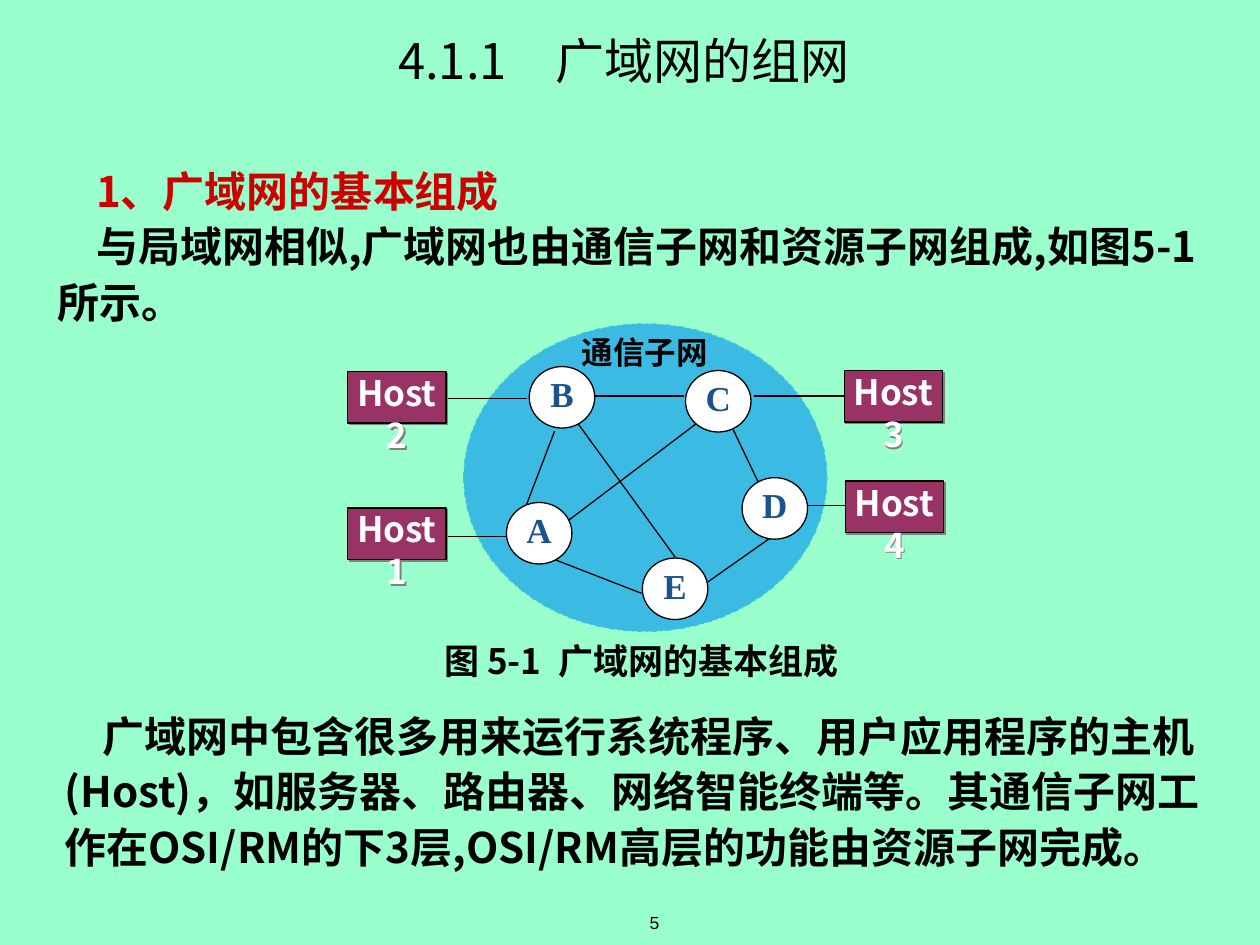
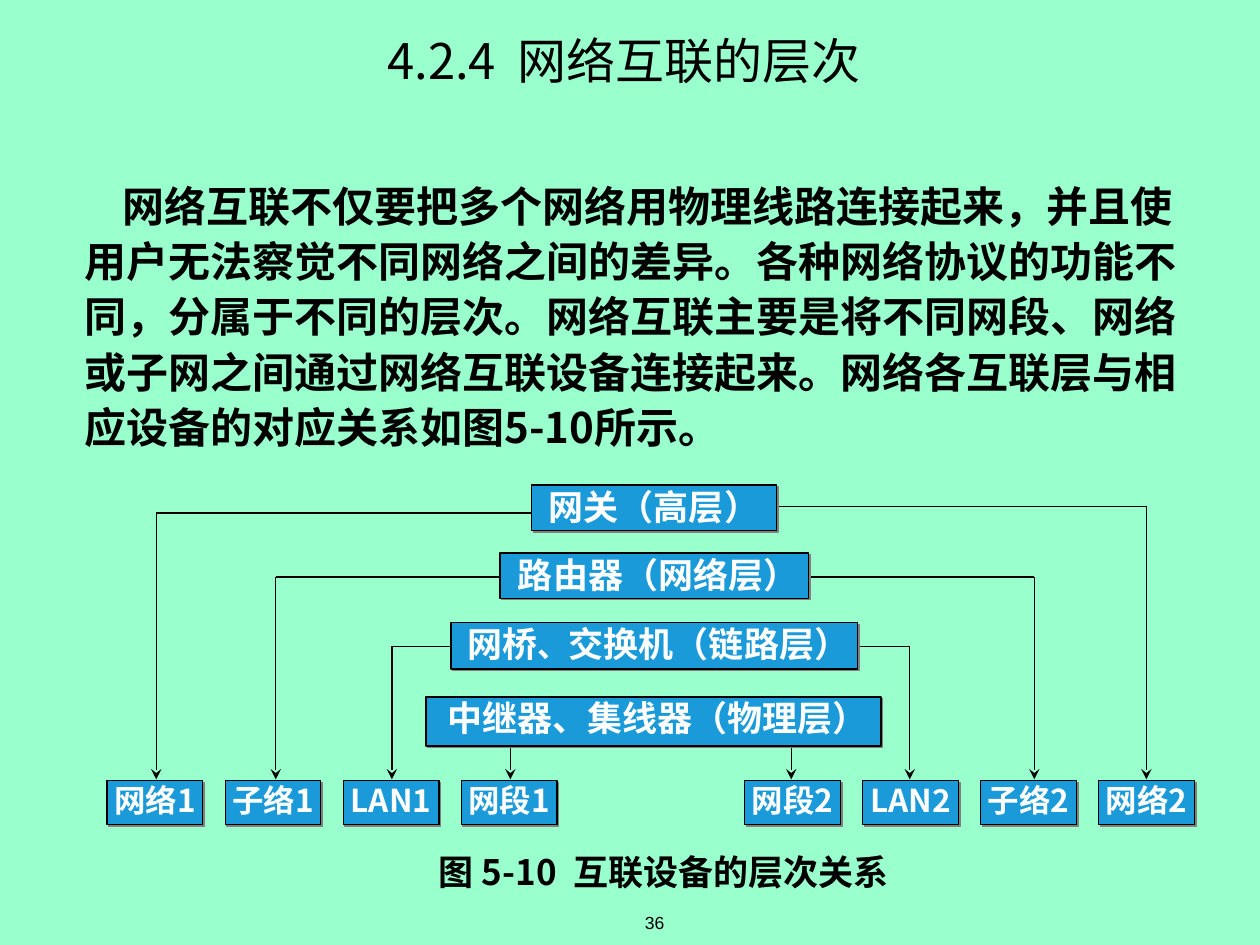
from lxml.etree import SubElement
from pptx import Presentation
from pptx.dml.color import RGBColor
from pptx.enum.dml import MSO_LINE
from pptx.enum.shapes import MSO_CONNECTOR as Connector, MSO_SHAPE as Shape
from pptx.enum.text import MSO_ANCHOR as Anchor, PP_ALIGN as Align
from pptx.oxml.ns import qn
from pptx.util import Cm, Pt

BLACK, WHITE, RED = "000000", "FFFFFF", "CC0000"
MINT, SKY, BLUE = "99FFCC", "3BBBE3", "1B9AD9"
PLUM, NAVY, TEAL, GRAY = "993366", "1D528D", "33CCCC", "808080"
HAN, SERIF, SANS = "Noto Sans CJK SC", "Times New Roman", "Arial"


def color(value):
    return RGBColor.from_string(value)


class Board:
    """Holds the deck, the current slide and the shared style."""

    def __init__(self):
        self.deck = Presentation()
        self.deck.slide_width, self.deck.slide_height = Cm(25.4), Cm(19.05)
        self.page = None

    def new_page(self, number, title):
        self.page = self.deck.slides.add_slide(self.deck.slide_layouts[6])
        self.page.background.fill.solid()
        self.page.background.fill.fore_color.rgb = color(MINT)
        self.text(0, 0.43, 25.15, 1.57, [title], 28, bold=False, align=Align.CENTER,
                  anchor=Anchor.MIDDLE)
        self.text(10.49, 18.14, 5.41, 0.91, [[number]], 10, bold=False, font=SANS,
                  align=Align.CENTER, anchor=Anchor.MIDDLE)

    def fill_text(self, box, paragraphs, size, ink=BLACK, bold=True, font=HAN,
                  align=Align.CENTER, anchor=Anchor.TOP, spacing=None, indent=0):
        """Each run is a text or a tuple of text and the options that differ."""
        frame = box.text_frame
        frame.word_wrap = True
        frame.vertical_anchor = anchor
        frame.margin_left = frame.margin_right = 0
        frame.margin_top = frame.margin_bottom = 0
        for index, runs in enumerate(paragraphs):
            para = frame.add_paragraph() if index else frame.paragraphs[0]
            para.alignment = align
            para.line_spacing = spacing
            if indent:
                para._p.get_or_add_pPr().set("indent", str(Cm(indent)))
            for run in runs:
                words, options = run if isinstance(run, tuple) else (run, {})
                span = para.add_run()
                span.text = words
                span.font.size = Pt(options.get("size", size))
                span.font.bold = bold
                span.font.name = font
                span.font.color.rgb = color(options.get("ink", ink))
                properties = span._r.get_or_add_rPr()
                properties.set("lang", "zh-CN")
                if "gap" in options:
                    properties.set("spc", str(options["gap"] * 100))
                SubElement(properties, qn("a:ea"), typeface=font)

    def text(self, left, top, width, height, paragraphs, size, **style):
        box = self.page.shapes.add_textbox(Cm(left), Cm(top), Cm(width), Cm(height))
        self.fill_text(box, paragraphs, size, **style)

    def body(self, left, top, width, height, paragraphs):
        self.text(left, top, width, height, paragraphs, 24, align=Align.LEFT,
                  spacing=1.1, indent=0.77)

    def caption(self, left, top, width, number, words):
        self.text(left, top, width, 0.88, [["图 " + number, (" ", {"gap": 5}), words]], 20)

    def shape(self, kind, left, top, width, height, fill, line=BLACK):
        shape = self.page.shapes.add_shape(kind, Cm(left), Cm(top), Cm(width), Cm(height))
        shape.shadow.inherit = False
        shape.fill.solid()
        shape.fill.fore_color.rgb = color(fill)
        shape.line.color.rgb = color(line)
        shape.line.width = Pt(0.75)
        return shape

    def node(self, left, top, letter):
        circle = self.shape(Shape.OVAL, left, top, 1.32, 1.24, WHITE)
        self.fill_text(circle, [[letter]], 20, ink=NAVY, font=SERIF, spacing=0.96)

    def device(self, left, top, width, height, runs, fill=BLUE, size=20):
        box = self.shape(Shape.RECTANGLE, left, top, width, height, fill)
        effects = box._element.spPr.find(qn("a:effectLst"))
        shadow = SubElement(effects, qn("a:outerShdw"), dist=str(Pt(1.4)), dir="2700000",
                            algn="ctr", rotWithShape="0")
        SubElement(shadow, qn("a:srgbClr"), val=GRAY)
        self.fill_text(box, [runs], size, ink=WHITE)

    def line(self, x1, y1, x2, y2, arrow=False):
        link = self.page.shapes.add_connector(Connector.STRAIGHT, Cm(x1), Cm(y1), Cm(x2), Cm(y2))
        link.line.color.rgb = color(BLACK)
        link.line.width = Pt(0.75)
        if arrow:
            SubElement(link.line._get_or_add_ln(), qn("a:tailEnd"), type="stealth")
        SubElement(link._element.spPr, qn("a:effectLst"))


def add_network_page(board):
    board.new_page("5", ["4.1.1　广域网的组网"])
    board.body(1.17, 3.23, 23.16, 3.35, [
        [("1、广域网的基本组成", {"ink": RED})],
        ["与局域网相似,广域网也由通信子网和资源子网组成,如图5-1所示。"],
    ])
    board.caption(8.61, 12.9, 8.64, "5-1", "广域网的基本组成")

    # Subnet cloud
    cloud = board.shape(Shape.OVAL, 9.35, 6.53, 7.32, 6.2, SKY, TEAL)
    cloud.line.dash_style = MSO_LINE.DASH_DOT
    board.text(11.68, 6.71, 2.64, 0.81, [["通信子网"]], 18)

    # Links between nodes, then links to hosts
    for ends in [
        (11.81, 7.98, 13.79, 7.98), (14.78, 8.66, 15.29, 9.73),
        (14.27, 11.73, 15.52, 10.85), (11.18, 11.28, 12.93, 11.96),
        (11.46, 10.49, 14.05, 8.53), (11.18, 8.69, 10.62, 10.16),
        (11.63, 8.51, 13.61, 11.23),
        (7.87, 10.82, 10.24, 10.82), (8.64, 8.03, 10.62, 8.03),
        (15.19, 7.98, 17.83, 7.98), (16.26, 10.19, 17.58, 10.19),
    ]:
        board.line(*ends)

    # Nodes and hosts
    for letter, left, top in [("A", 10.21, 10.13), ("B", 10.67, 7.39), ("C", 13.82, 7.47),
                              ("D", 14.96, 9.63), ("E", 12.95, 11.25)]:
        board.node(left, top, letter)
    for name, left, top in [("Host1", 7.01, 10.24), ("Host2", 7.01, 7.49),
                            ("Host3", 17.02, 7.47), ("Host4", 17.04, 9.7)]:
        board.device(left, top, 1.98, 1.04, [name], PLUM)

    board.body(1.3, 14.22, 23.16, 4.47, [[
        "广域网中包含很多用来运行系统程序、用户应用程序的主机(Host)，如服务器、路由器、"
        "网络智能终端等。其通信子网工作在OSI/RM的下3层,OSI/RM高层的功能由资源子网完成。"
    ]])


def add_layers_page(board):
    board.new_page("36", ["4.2.4", (" ", {"gap": 6}), "网络互联的层次"])
    board.body(1.7, 3.53, 22.61, 5.59, [[
        "网络互联不仅要把多个网络用物理线路连接起来，并且使用户无法察觉不同网络之间的差异。"
        "各种网络协议的功能不同，分属于不同的层次。网络互联主要是将不同网段、网络或子网之间"
        "通过网络互联设备连接起来。网络各互联层与相应设备的对应关系如图5-10所示。"
    ]])
    board.caption(8.51, 17.15, 9.75, "5-10", "互联设备的层次关系")

    # Layers: runs, box, then x and y of the left and right branch
    layers = [
        (["网关（高层）"], (10.72, 9.78, 4.93, 0.91), (3.15, 10.34), (23.11, 10.21)),
        ([" 路由器（网络层）"], (10.08, 11.15, 6.22, 0.91), (5.56, 11.63), (20.85, 11.63)),
        ([" 网桥", ("、", {"size": 18}), "交换机（链路层）"],
         (9.09, 12.55, 8.2, 0.94), (7.9, 13.03), (18.34, 13.03)),
        ([" 中继器、集线器（物理层）"], (8.59, 14.05, 9.17, 0.99), (10.29, 14.38), (15.95, 14.38)),
    ]
    for runs, (left, top, width, height), *branches in layers:
        for edge, (x, y) in zip((left, left + width), branches):
            if not left < x < left + width:
                board.line(x, y, edge, y)
            board.line(x, y, x, 15.71, arrow=True)
        board.device(left, top, width, height, runs)

    # Connected networks, four on each side
    for start, names in [(2.16, ["网络1", "子络1", "LAN1", "网段1"]),
                         (15.01, ["网段2", "LAN2", "子络2", "网络2"])]:
        for index, name in enumerate(names):
            board.device(start + 2.38 * index, 15.74, 1.93, 0.89, [name], size=18)


def main():
    board = Board()
    add_network_page(board)
    add_layers_page(board)
    board.deck.save("out.pptx")


if __name__ == "__main__":
    main()
